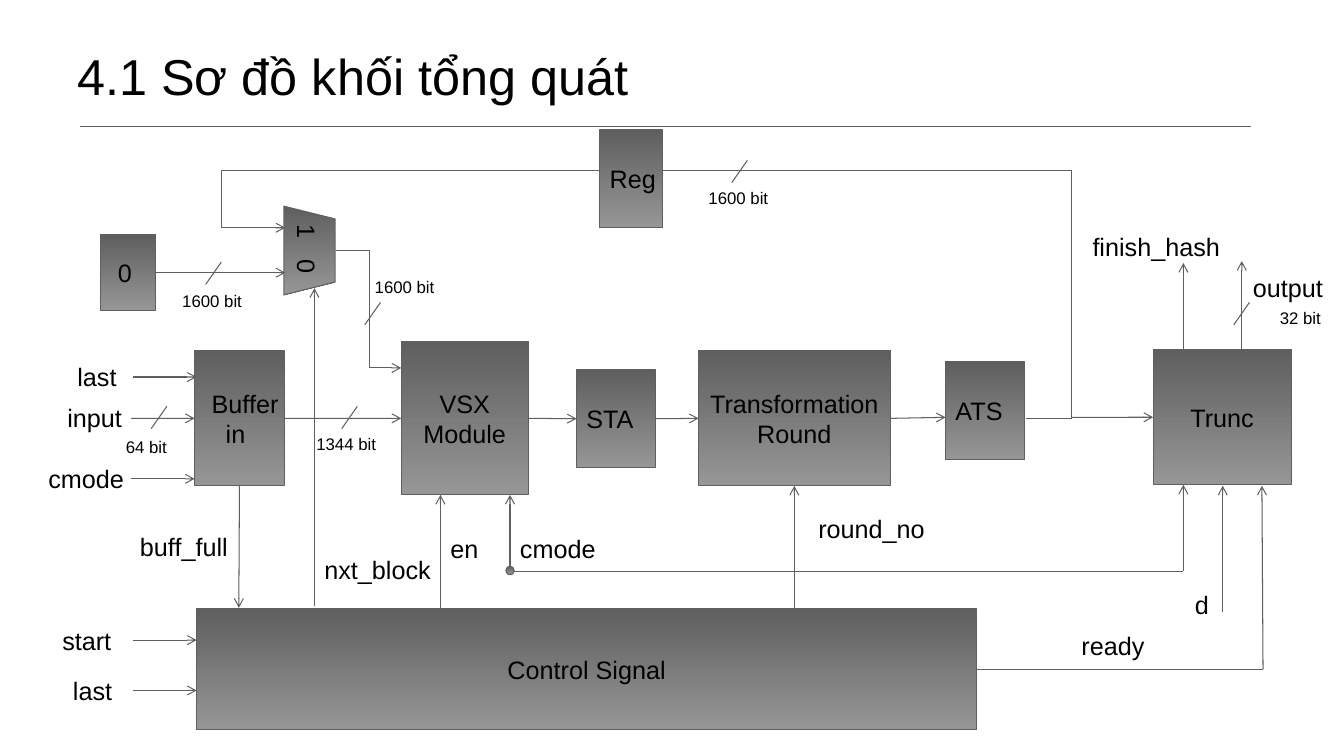
from itertools import pairwise

from lxml import etree
from pptx import Presentation
from pptx.dml.color import RGBColor
from pptx.enum.shapes import MSO_CONNECTOR, MSO_SHAPE
from pptx.enum.text import MSO_ANCHOR, PP_ALIGN
from pptx.oxml.ns import qn
from pptx.util import Pt

WIDTH, HEIGHT = 960, 540
COLORS = {"line": "5F5F5F", "dark": "5F5F5F", "light": "969696", "text": "000000"}
TOP, LEFT, BOTTOM, RIGHT = range(4)


class Diagram:
    font = "Arial"
    line_width = 0.75
    inset = 7.2

    def __init__(self, slide):
        self.slide = slide

    def color(self, name):
        return RGBColor.from_string(COLORS[name])

    def outline(self, line):
        line.color.rgb = self.color("line")
        line.width = Pt(self.line_width)

    def set_text(self, text_frame, text, size):
        text_frame.text = text
        for paragraph in text_frame.paragraphs:
            for run in paragraph.runs:
                run.font.name = self.font
                run.font.size = Pt(size)
                run.font.color.rgb = self.color("text")

    def label(self, text, left, top, size=18, width=120, height=28.8):
        box = self.slide.shapes.add_textbox(
            Pt(left), Pt(top), Pt(min(width, WIDTH - left)), Pt(height))
        box.text_frame.word_wrap = True
        self.set_text(box.text_frame, text, size)
        return box

    def block(self, text, left, top, width, height, kind=MSO_SHAPE.RECTANGLE,
              inset=None):
        """Gradient block; text is centred unless a left inset is given."""
        shape = self.slide.shapes.add_shape(
            kind, Pt(left), Pt(top), Pt(width), Pt(height))
        shape.shadow.inherit = False
        shape.fill.gradient()
        shape.fill.gradient_angle = 270
        for stop, name in zip(shape.fill.gradient_stops, ("dark", "light")):
            stop.color.rgb = self.color(name)
        shape._element.spPr.find(qn("a:gradFill")).set("rotWithShape", "0")
        self.outline(shape.line)
        text_frame = shape.text_frame
        text_frame.word_wrap = False
        text_frame.vertical_anchor = MSO_ANCHOR.MIDDLE
        text_frame.margin_left = Pt(inset or 0)
        text_frame.margin_right = 0
        self.set_text(text_frame, text, 18)
        for paragraph in text_frame.paragraphs:
            paragraph.alignment = PP_ALIGN.LEFT if inset else PP_ALIGN.CENTER
        return shape

    def wire(self, *points, arrow=True, start=None, end=None):
        """Straight segments through the points, joined to (shape, side) ends."""
        segments = []
        for (x1, y1), (x2, y2) in pairwise(points):
            connector = self.slide.shapes.add_connector(
                MSO_CONNECTOR.STRAIGHT, Pt(x1), Pt(y1), Pt(x2), Pt(y2))
            self.outline(connector.line)
            etree.SubElement(connector._element.spPr, qn("a:effectLst"))
            segments.append(connector)
        if start:
            segments[0].begin_connect(*start)
        if end:
            segments[-1].end_connect(*end)
        if arrow:
            line = segments[-1].line._get_or_add_ln()
            etree.SubElement(line, qn("a:tailEnd"), type="arrow")


def main():
    presentation = Presentation()
    presentation.slide_width, presentation.slide_height = Pt(WIDTH), Pt(HEIGHT)
    slide = presentation.slides.add_slide(presentation.slide_layouts[6])
    diagram = Diagram(slide)

    # Title and rule
    title = diagram.label("4.1 Sơ đồ khối tổng quát", 48.2, 31, 36, 864, 46)
    title.text_frame.vertical_anchor = MSO_ANCHOR.MIDDLE
    diagram.wire((56.9, 90.7), (893.5, 90.7), arrow=False)

    # Feedback loop, running behind the register
    diagram.wire((733, 298.8), (765.4, 298.8), (765.4, 121.7), (158.4, 121.7),
                 (158.4, 162.7), (203.8, 162.7))

    # Blocks
    buffer_in = diagram.block("Buffer\nin", 139, 250.6, 64.1, 96.5, inset=12.2)
    buffer_in.text_frame.paragraphs[1]._p.get_or_add_pPr().set("marL", str(Pt(10)))
    vsx = diagram.block("VSX\nModule", 286.6, 244.1, 90.7, 109.4)
    sta = diagram.block("STA", 411.8, 264.2, 56.2, 69.8, inset=diagram.inset)
    transformation = diagram.block("Transformation\nRound", 499, 250.6, 136.8, 96.5)
    diagram.block("ATS", 675.4, 258.5, 56.2, 69.8, inset=diagram.inset)
    trunc = diagram.block("Trunc", 823.7, 249.8, 98.6, 96.5)
    control = diagram.block("Control Signal", 140.4, 434.9, 557.3, 86.4)
    zero = diagram.block("0", 72, 167.8, 38.9, 54, inset=12.2)
    diagram.block("Reg", 428.4, 92.9, 44.6, 69.8, inset=diagram.inset)

    # Multiplexer, its two input numbers set apart by a tab stop
    multiplexer = diagram.block("1\t0", 189.4, 160.6, 63.4, 36.7,
                                MSO_SHAPE.TRAPEZOID, diagram.inset)
    multiplexer.rotation = 90
    properties = multiplexer.text_frame.paragraphs[0]._p.get_or_add_pPr()
    tabs = etree.SubElement(properties, qn("a:tabLst"))
    etree.SubElement(tabs, qn("a:tab"), pos=str(Pt(25)), algn="l")

    # Data path
    diagram.wire((93.6, 298.8), (139, 298.8), end=(buffer_in, LEFT))
    for source, target in ((buffer_in, vsx), (vsx, sta), (sta, transformation)):
        diagram.wire((0, 0), (0, 0), start=(source, RIGHT), end=(target, LEFT))
    diagram.wire((635.8, 298.8), (675.4, 298.1), start=(transformation, RIGHT))
    diagram.wire((765.4, 298.1), (823.7, 298.1), end=(trunc, LEFT))
    diagram.wire((110.9, 194.8), (203.8, 194.8), start=(zero, RIGHT))
    diagram.wire((239.8, 178.6), (264.2, 178.6), (264.2, 262.8), (286.6, 262.8))

    # Input arrows from the left
    for y, x1, x2 in ((269.3, 95, 140.4), (342, 93.6, 139),
                      (457.2, 95, 140.4), (493.2, 95, 140.4)):
        diagram.wire((x1, y), (x2, y))

    # Vertical arrows: nxt_block, en, cmode, d, finish_hash, output
    for x, y1, y2 in ((224.6, 432.7, 205.9), (314.6, 434.2, 353.5),
                      (364.3, 404.6, 353.5), (873.4, 437, 347),
                      (845.3, 250.6, 187.9), (887, 249.8, 186.5)):
        diagram.wire((x, y1), (x, y2))

    # Control wires: buff_full, round_no, cmode, ready
    diagram.wire((171, 347.1), (170.6, 434.2), start=(buffer_in, BOTTOM))
    diagram.wire((567.4, 434.9), (567.4, 347.1), end=(transformation, BOTTOM))
    diagram.wire((365, 408.2), (845.3, 408.2), (845.3, 346.3))
    diagram.wire((697.7, 478.1), (902.2, 478.1), (901.4, 347), start=(control, RIGHT))
    diagram.block("", 361.4, 404.6, 5.8, 5.8, MSO_SHAPE.OVAL)

    # Bus slashes with their widths in bits
    for text, slash_x, slash_y, left, top in (
            ("1344 bit", 244.1, 290.2, 218.9, 306),
            ("1600 bit", 260.6, 216, 260.6, 194.4),
            ("64 bit", 108, 290.2, 82.8, 308.2),
            ("1600 bit", 146.9, 187.2, 123.1, 203.8),
            ("1600 bit", 522.7, 114.5, 499, 130.3),
            ("32 bit", 881.3, 216, 907.1, 216)):
        diagram.wire((slash_x + 11.2, slash_y), (slash_x, slash_y + 16), arrow=False)
        diagram.label(text, left, top, 12, 67.7, 21.6)

    # Signal names
    for text, left, top in (
            ("last", 48.2, 254.9), ("input", 41, 283.7), ("cmode", 27.4, 327.6),
            ("start", 37.4, 442.8), ("last", 45, 478.8), ("buff_full", 92.9, 375.8),
            ("nxt_block", 224.6, 392.4), ("en", 314.6, 377.3),
            ("cmode", 364.3, 377.3), ("round_no", 577.4, 362.9),
            ("d", 846.4, 417.6), ("ready", 765.4, 446.4),
            ("finish_hash", 773.3, 162), ("output", 887.8, 190.8)):
        diagram.label(text, left, top)

    presentation.save("out.pptx")


if __name__ == "__main__":
    main()
